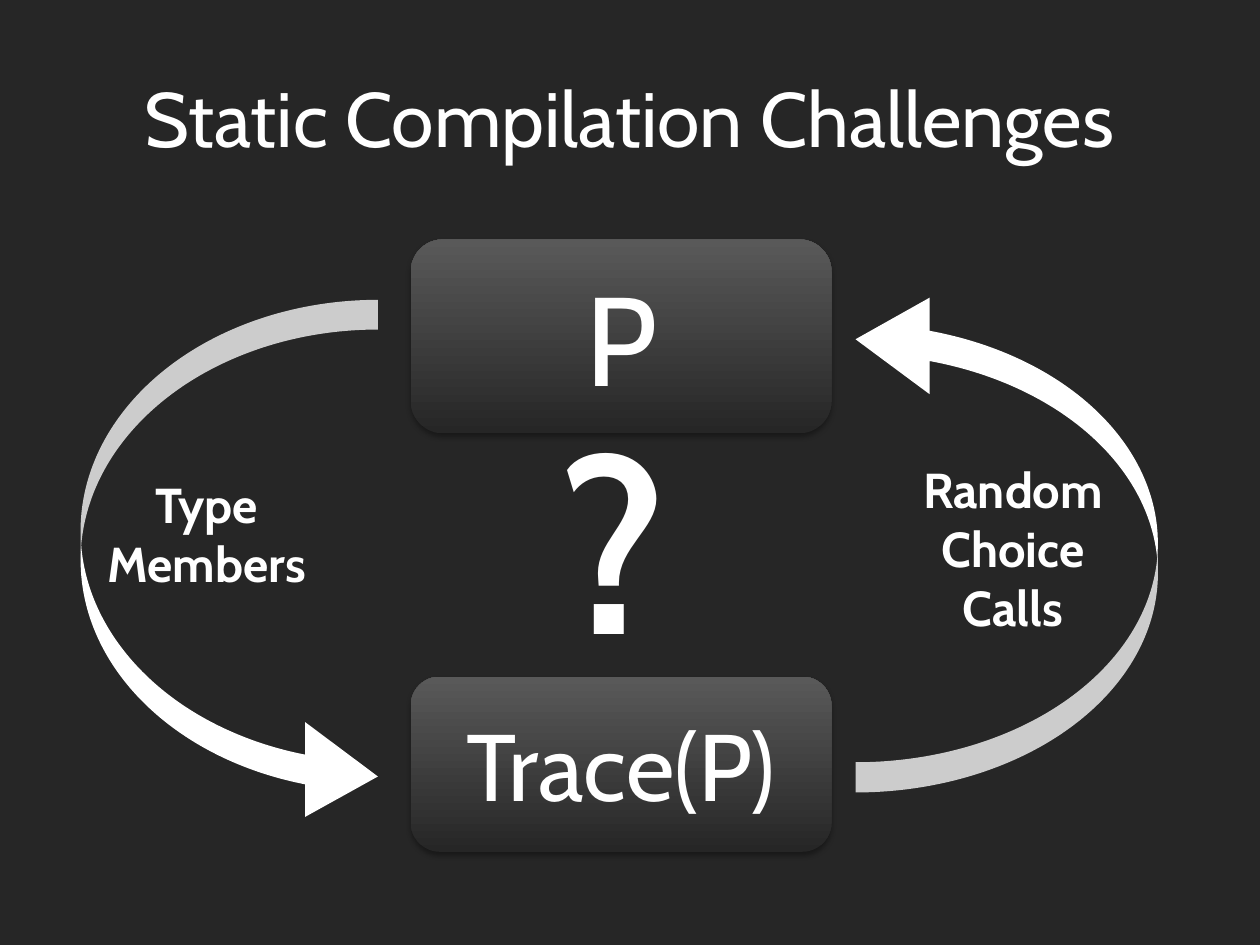
from dataclasses import dataclass

from lxml.etree import SubElement
from pptx import Presentation
from pptx.dml.color import RGBColor
from pptx.enum.shapes import MSO_SHAPE
from pptx.enum.text import MSO_ANCHOR, MSO_AUTO_SIZE, PP_ALIGN
from pptx.oxml.ns import qn
from pptx.util import Inches, Pt

COLUMNS, ROWS = 100, 75


@dataclass(frozen=True)
class Theme:
    font: str = "Cabin"
    dark: RGBColor = RGBColor(0x26, 0x26, 0x26)
    light: RGBColor = RGBColor(0x59, 0x59, 0x59)
    white: RGBColor = RGBColor(0xFF, 0xFF, 0xFF)
    shadow: str = "000000"
    title: int = 44
    program: int = 72
    trace: int = 54
    label: int = 28
    question: int = 138


@dataclass(frozen=True)
class Area:
    """Left, top, width and height in grid columns and rows."""
    col: float
    row: float
    cols: float
    rows: float


@dataclass(frozen=True)
class Stage:
    text: str
    size: int
    area: Area


@dataclass(frozen=True)
class Arrow:
    flip: str
    area: Area


@dataclass(frozen=True)
class Label:
    text: str
    size: int
    area: Area


THEME = Theme()
STAGES = (
    Stage("P", THEME.program, Area(32.6, 19, 33.4, 15.4)),
    Stage("Trace(P)", THEME.trace, Area(32.6, 53.7, 33.4, 13.9)),
)
ARROWS = (
    Arrow("flipH", Area(6.4, 23.8, 23.6, 41.6)),
    Arrow("flipV", Area(67.9, 23.1, 24, 39.8)),
)
ARROW_SHAPE = (0.1, 0.319, 0.245)
LABELS = (
    Label("Type\nMembers", THEME.label, Area(6.4, 37.2, 20, 10.4)),
    Label("Random\nChoice\nCalls", THEME.label, Area(70.4, 36, 20, 15.1)),
    Label("?", THEME.question, Area(40.9, 30.7, 15.7, 24.2)),
)


def place(prs, area: Area) -> tuple[int, int, int, int]:
    col, row = prs.slide_width / COLUMNS, prs.slide_height / ROWS
    return (round(area.col * col), round(area.row * row),
            round(area.cols * col), round(area.rows * row))


def write(tf, text: str, *, size: int, bold: bool = False,
          anchor: MSO_ANCHOR = MSO_ANCHOR.MIDDLE) -> None:
    tf.word_wrap = True
    tf.vertical_anchor = anchor
    tf.text = text
    for p in tf.paragraphs:
        p.alignment = PP_ALIGN.CENTER
        for r in p.runs:
            r.font.name = THEME.font
            r.font.size = Pt(size)
            r.font.bold = bold
            r.font.color.rgb = THEME.white


def add_soft_shadow(sp) -> None:
    effects = sp._element.spPr.find(qn("a:effectLst"))
    shadow = SubElement(effects, qn("a:outerShdw"), blurRad=str(Pt(3.1)),
                        dist=str(Pt(1.8)), dir="5400000", rotWithShape="0")
    color = SubElement(shadow, qn("a:srgbClr"), val=THEME.shadow)
    SubElement(color, qn("a:alpha"), val="35000")


def add_plain_shape(prs, s, kind: MSO_SHAPE, area: Area):
    sp = s.shapes.add_shape(kind, *place(prs, area))
    sp.shadow.inherit = False
    sp.line.fill.background()
    return sp


def add_stage(prs, s, stage: Stage) -> None:
    sp = add_plain_shape(prs, s, MSO_SHAPE.ROUNDED_RECTANGLE, stage.area)
    sp.fill.gradient()
    sp.fill.gradient_angle = 90
    for stop, position, color in zip(sp.fill.gradient_stops, (0, 1),
                                     (THEME.dark, THEME.light)):
        stop.position = position
        stop.color.rgb = color
    add_soft_shadow(sp)
    write(sp.text_frame, stage.text, size=stage.size)


def add_arrow(prs, s, arrow: Arrow) -> None:
    sp = add_plain_shape(prs, s, MSO_SHAPE.CURVED_LEFT_ARROW, arrow.area)
    for i, value in enumerate(ARROW_SHAPE):
        sp.adjustments[i] = value
    sp._element.spPr.xfrm.set(arrow.flip, "1")
    sp.fill.solid()
    sp.fill.fore_color.rgb = THEME.white


def add_label(prs, s, label: Label) -> None:
    tf = s.shapes.add_textbox(*place(prs, label.area)).text_frame
    write(tf, label.text, size=label.size, bold=True, anchor=MSO_ANCHOR.TOP)
    tf.auto_size = MSO_AUTO_SIZE.SHAPE_TO_FIT_TEXT


def main() -> None:
    prs = Presentation()
    prs.slide_width, prs.slide_height = Inches(10), Inches(7.5)
    s = prs.slides.add_slide(prs.slide_layouts.get_by_name("Title Only"))
    s.background.fill.solid()
    s.background.fill.fore_color.rgb = THEME.dark

    title = s.shapes.title
    title.left, title.top, title.width, title.height = place(
        prs, Area(5, 3, 90, 12.5))
    write(title.text_frame, "Static Compilation Challenges", size=THEME.title)

    for stage in STAGES:
        add_stage(prs, s, stage)
    for arrow in ARROWS:
        add_arrow(prs, s, arrow)
    for label in LABELS:
        add_label(prs, s, label)
    prs.save("out.pptx")


if __name__ == "__main__":
    main()
